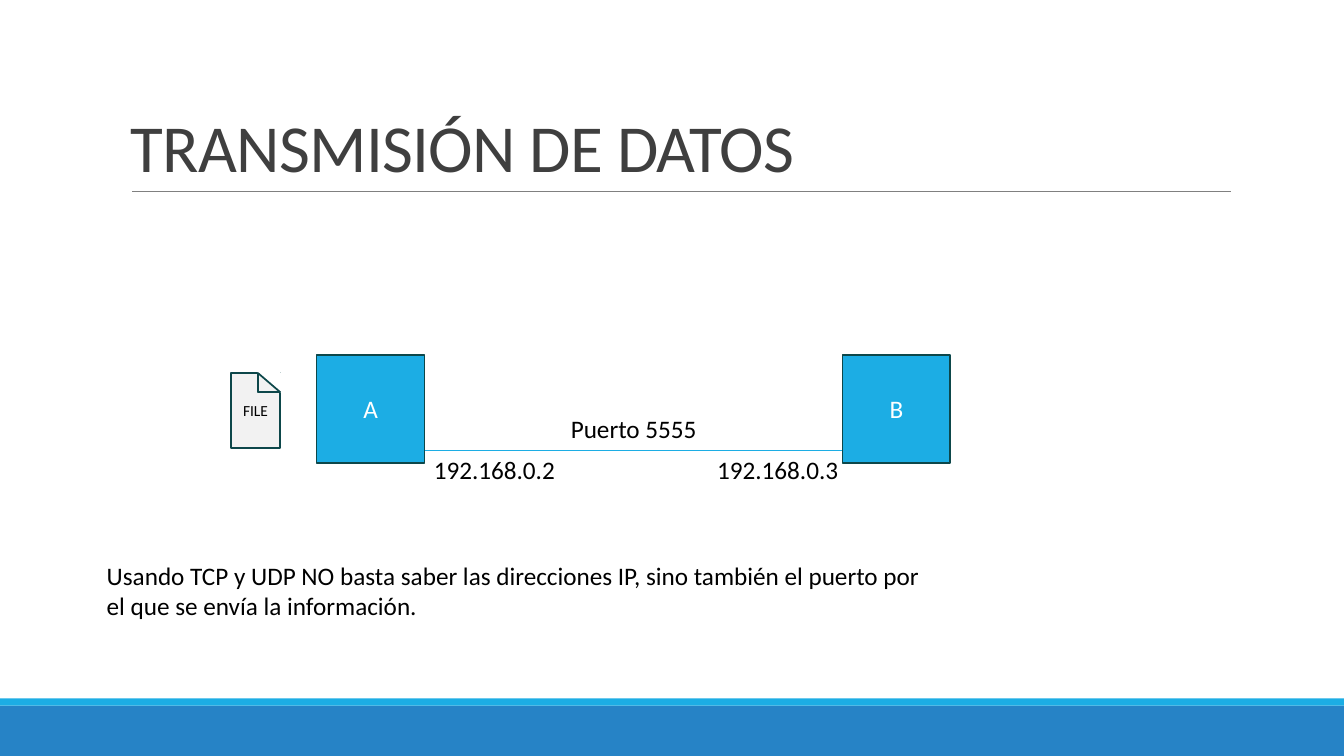
import pptx
import pptx.util
import pptx.dml.color
import pptx.enum.shapes
import pptx.enum.text
import pptx.oxml.ns
import lxml.etree

Cm = pptx.util.Cm
Pt = pptx.util.Pt
RGBColor = pptx.dml.color.RGBColor
Shape = pptx.enum.shapes.MSO_SHAPE
Align = pptx.enum.text.PP_ALIGN
Anchor = pptx.enum.text.MSO_ANCHOR

BLUE = RGBColor(0x26, 0x83, 0xC6)
CYAN = RGBColor(0x1C, 0xAD, 0xE4)
TEAL = RGBColor(0x0D, 0x47, 0x4A)
GRAY = RGBColor(0x80, 0x80, 0x80)
DARK = RGBColor(0x3F, 0x3F, 0x3F)
PAPER = RGBColor(0xF2, 0xF2, 0xF2)
BLACK = RGBColor(0, 0, 0)
WHITE = RGBColor(0xFF, 0xFF, 0xFF)


def write_text(shape, text, size=18, color=BLACK, align=Align.LEFT,
               anchor=Anchor.TOP, wrap=True, line_spacing=None, tracking=0):
    frame = shape.text_frame
    frame.word_wrap = wrap
    frame.vertical_anchor = anchor
    paragraph = frame.paragraphs[0]
    paragraph.alignment = align
    paragraph.line_spacing = line_spacing
    run = paragraph.add_run()
    run.text = text
    run.font.name = "Calibri"
    run.font.size = Pt(size)
    run.font.color.rgb = color
    if tracking:
        run._r.get_or_add_rPr().set("spc", str(int(tracking * 100)))


class SlideBuilder:
    line_width = 1.25

    def __init__(self, slide):
        self.slide = slide

    def shape(self, kind, left, top, width, height, fill, line=None):
        shape = self.slide.shapes.add_shape(
            kind, Cm(left), Cm(top), Cm(width), Cm(height))
        shape.shadow.inherit = False
        shape.fill.solid()
        shape.fill.fore_color.rgb = fill
        if line is None:
            shape.line.fill.background()
        else:
            shape.line.color.rgb = line
            shape.line.width = Pt(self.line_width)
        return shape

    def labelled_box(self, text, left, top, width, height, fill, **text_format):
        box = self.shape(Shape.RECTANGLE, left, top, width, height, fill, TEAL)
        write_text(box, text, align=Align.CENTER, anchor=Anchor.MIDDLE,
                   wrap=False, **text_format)

    def text(self, text, left, top, width, height, **text_format):
        box = self.slide.shapes.add_textbox(
            Cm(left), Cm(top), Cm(width), Cm(height))
        write_text(box, text, **text_format)

    def horizontal_line(self, start, end, top, color, width):
        line = self.slide.shapes.add_connector(
            pptx.enum.shapes.MSO_CONNECTOR.STRAIGHT,
            Cm(start), Cm(top), Cm(end), Cm(top))
        line.line.color.rgb = color
        line.line.width = Pt(width)
        lxml.etree.SubElement(line._element.spPr,
                              pptx.oxml.ns.qn("a:effectLst"))


presentation = pptx.Presentation()
presentation.slide_width = Cm(33.87)
presentation.slide_height = Cm(19.05)
builder = SlideBuilder(presentation.slides.add_slide(presentation.slide_layouts[6]))

# Footer bands
builder.shape(Shape.RECTANGLE, 0, 17.78, 33.87, 1.27, BLUE)
builder.shape(Shape.RECTANGLE, 0, 17.6, 33.87, 0.18, CYAN)

# Title and rule
builder.horizontal_line(3.33, 31.01, 4.83, GRAY, 0.5)
builder.text("TRANSMISIÓN DE DATOS", 3.05, 0.79, 27.94, 4.04, size=48,
             color=DARK, anchor=Anchor.BOTTOM, line_spacing=0.85, tracking=-0.5)

# Hosts and the link between them
HOST_SIZE = 2.72
HOST_A, HOST_B = 7.98, 21.23
for name, left in (("A", HOST_A), ("B", HOST_B)):
    builder.labelled_box(name, left, 8.94, HOST_SIZE, HOST_SIZE, CYAN, color=WHITE)
builder.horizontal_line(HOST_A + HOST_SIZE, HOST_B, 11.35, CYAN, 1)

# Addresses and port
for label, left, top in (("192.168.0.2", 9.88, 11.33),
                         ("192.168.0.3", 17.02, 11.33),
                         ("Puerto 5555", 13.39, 10.29)):
    builder.text(label, left, top, 5.16, 1.02, align=Align.CENTER)

# Explanation
builder.text("Usando TCP y UDP NO basta saber las direcciones IP, sino también "
             "el puerto por el que se envía la información.",
             2.44, 14, 21.54, 1.8)

# File page with its folded corner
builder.labelled_box("FILE", 5.82, 9.4, 1.24, 1.9, PAPER, size=11)
FOLD = (6.5, 9.4, 0.56, 0.48)
cut_corner = builder.shape(Shape.RIGHT_TRIANGLE, *FOLD, WHITE, WHITE)
cut_corner.rotation = 180
builder.shape(Shape.RIGHT_TRIANGLE, *FOLD, PAPER, TEAL)

presentation.save("out.pptx")
